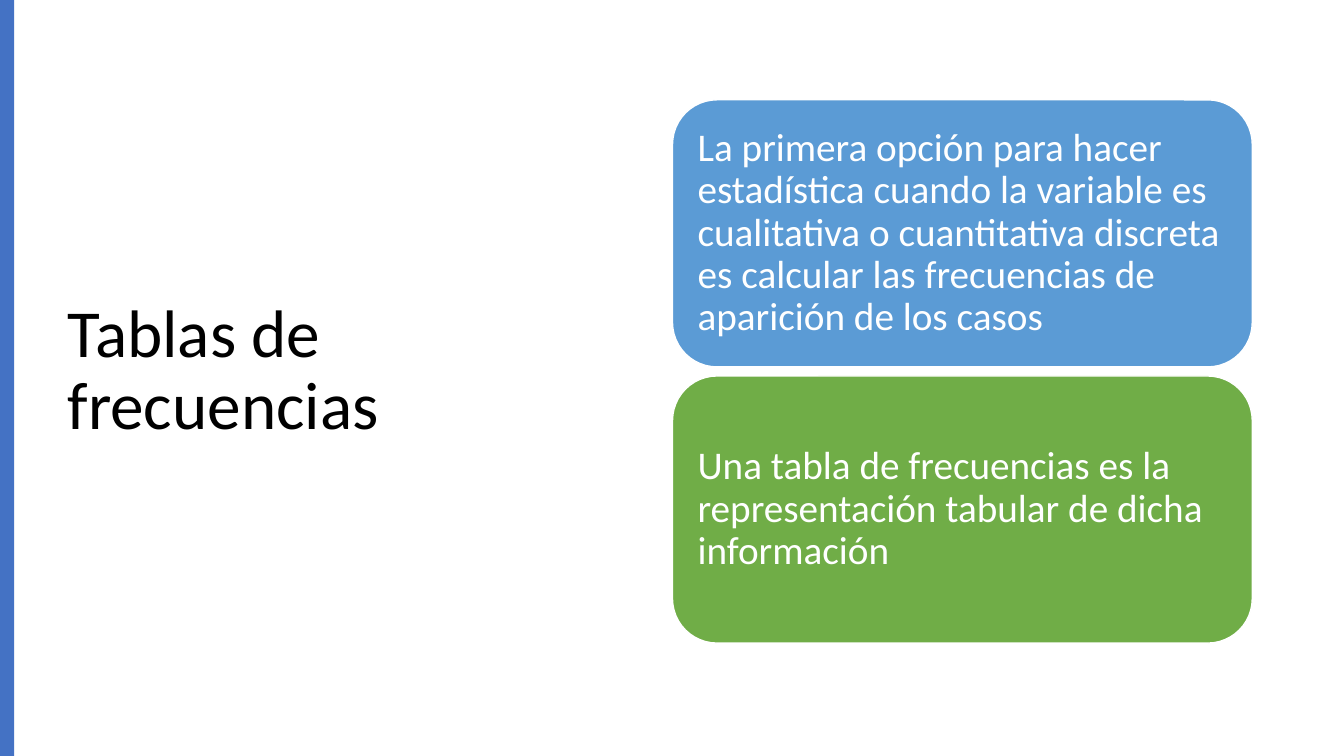
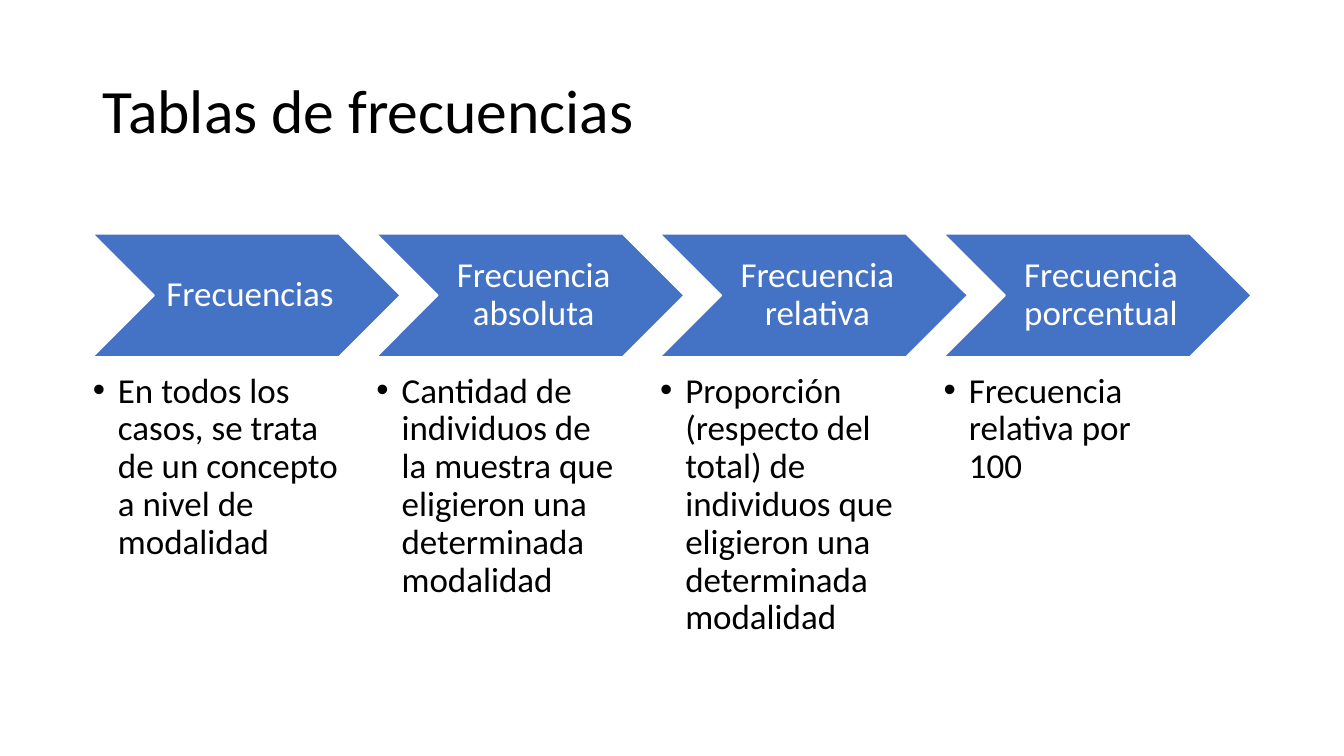
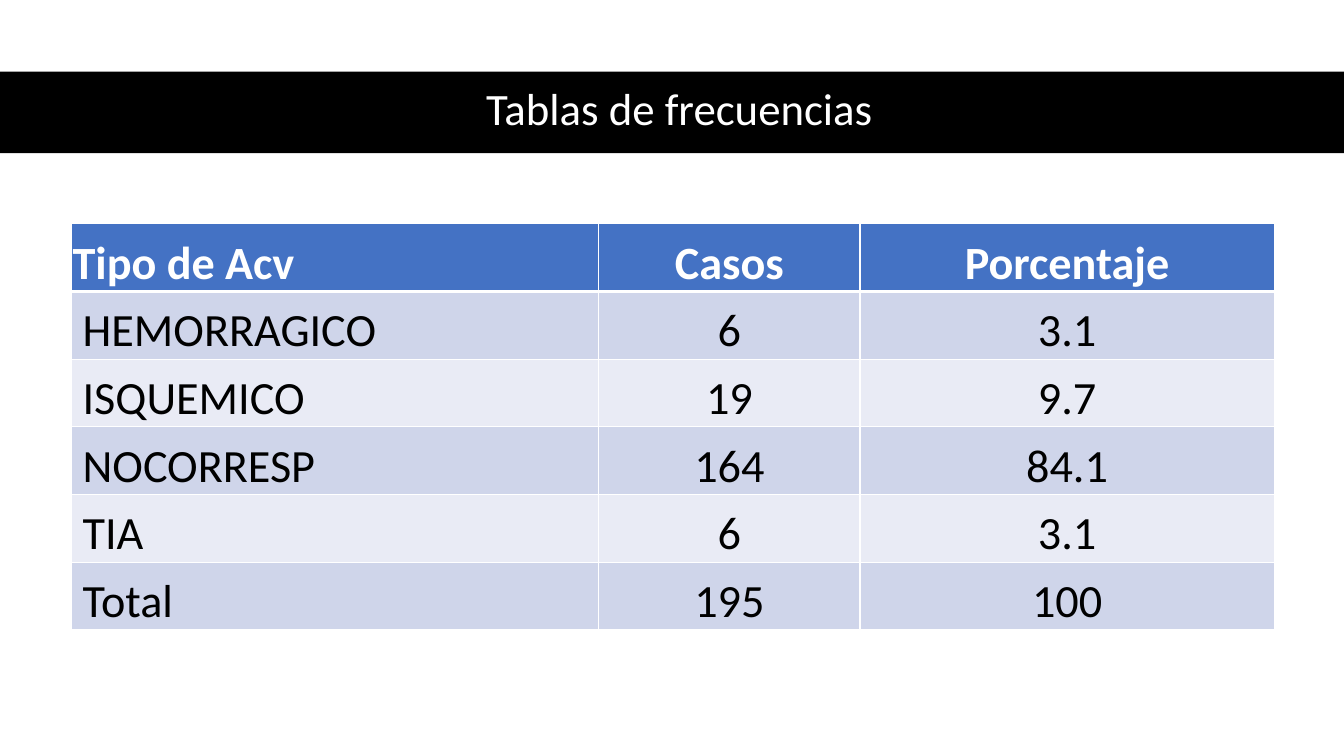
from lxml.etree import SubElement as Sub, Element
from pptx import Presentation
from pptx.dml.color import RGBColor as RGB
from pptx.enum.shapes import MSO_SHAPE as Shape
from pptx.enum.text import MSO_ANCHOR as Anchor, MSO_AUTO_SIZE as Auto, PP_ALIGN as Align
from pptx.oxml.ns import qn
from pptx.util import Inches, Pt

FONT = "Calibri"
HEAD = "Tablas de frecuencias"
WIDE, HIGH = 13.33, 7.5
HUE = {"blue": "4472C4", "sky": "5B9BD5", "green": "70AD47", "black": "000000",
       "white": "FFFFFF", "dark": "CFD5EA", "light": "E9EBF5"}
ONLY, FOUR = 5, 4  # layouts: title only, title with four bodies

CARDS = [
    ("sky", "La primera opción para hacer estadística cuando la variable es cualitativa "
            "o cuantitativa discreta es calcular las frecuencias de aparición de los casos"),
    ("green", "Una tabla de frecuencias es la representación tabular de dicha información"),
]
STEPS = [
    ("Frecuencias", "En todos los casos, se trata de un concepto a nivel de modalidad"),
    ("Frecuencia absoluta", "Cantidad de individuos de la muestra que eligieron una "
                            "determinada modalidad"),
    ("Frecuencia relativa", "Proporción (respecto del total) de individuos que eligieron "
                            "una determinada modalidad"),
    ("Frecuencia porcentual", "Frecuencia relativa por 100"),
]
ROWS = [
    ("Tipo de Acv", "Casos", "Porcentaje"),
    ("HEMORRAGICO", "6", "3.1"),
    ("ISQUEMICO", "19", "9.7"),
    ("NOCORRESP", "164", "84.1"),
    ("TIA", "6", "3.1"),
    ("Total", "195", "100"),
]


def tint(hue):
    return RGB.from_string(HUE[hue])


def place(item, box):
    item.left, item.top, item.width, item.height = map(Inches, box)


def write(frame, text, size, hue, align=Align.LEFT, bold=False, space=0.9):
    """Fill the first paragraph of a frame with one formatted run."""
    para = frame.paragraphs[0]
    para.alignment, para.line_spacing = align, space
    para.space_before = para.space_after = Pt(0)
    run = para.add_run()
    run.text = text
    font = run.font
    font.name, font.size, font.bold = FONT, Pt(size), bold
    font.color.rgb = tint(hue)
    return para


def pad(item, left, top, right, low):
    item.margin_left, item.margin_top = Inches(left), Inches(top)
    item.margin_right, item.margin_bottom = Inches(right), Inches(low)


def setup(frame, anchor):
    frame.word_wrap, frame.auto_size = True, Auto.NONE
    frame.vertical_anchor = anchor


def add_page(deck, kind, box, size, hue="black", align=Align.LEFT):
    """Add a slide with the shared title."""
    page = deck.slides.add_slide(deck.slide_layouts[kind])
    title = page.shapes.title
    place(title, box)
    setup(title.text_frame, Anchor.MIDDLE)
    write(title.text_frame, HEAD, size, hue, align)
    return page


def add_block(page, kind, box, fill, edge=False):
    block = page.shapes.add_shape(kind, *map(Inches, box))
    block.shadow.inherit = False
    block.fill.solid()
    block.fill.fore_color.rgb = tint(fill)
    if edge:
        block.line.color.rgb = tint("white")
        block.line.width = Pt(1)
    else:
        block.line.fill.background()
    setup(block.text_frame, Anchor.MIDDLE)
    return block


def add_list(body, box, text):
    """Place a body placeholder and give it one bullet."""
    place(body, box)
    frame = body.text_frame
    setup(frame, Anchor.TOP)
    pad(frame, 0, 0, 0, 0)
    props = write(frame, text, 25, "black")._p.get_or_add_pPr()
    props.set("marL", str(Inches(0.25)))
    props.set("indent", str(Inches(-0.25)))
    Sub(props, qn("a:buFont"), typeface="Arial")
    Sub(props, qn("a:buChar"), char="•")


def add_edges(cell, top, low):
    """Draw white cell borders; top and low are widths in points."""
    props = cell._tc.get_or_add_tcPr()
    for spot, (side, width) in enumerate([("L", 1), ("R", 1), ("T", top), ("B", low)]):
        line = Element(qn("a:ln" + side), w=str(Pt(width)))
        Sub(Sub(line, qn("a:solidFill")), qn("a:srgbClr"), val=HUE["white"])
        props.insert(spot, line)


def add_grid(page, box, cols, rows):
    grid = page.shapes.add_table(len(rows), len(cols), *map(Inches, box)).table
    for col, width in zip(grid.columns, cols):
        col.width = Inches(width)
    for i, row in enumerate(rows):
        top = i == 0
        fill = "blue" if top else ("dark" if i % 2 else "light")
        for j, text in enumerate(row):
            cell = grid.cell(i, j)
            cell.fill.solid()
            cell.fill.fore_color.rgb = tint(fill)
            cell.vertical_anchor = Anchor.BOTTOM
            pad(cell, 0.01 if top or j else 0.11, 0.01, 0.01, 0)
            write(cell.text_frame, text, 33, "white" if top else "black",
                  Align.CENTER if j else Align.LEFT, top, 1.0)
            add_edges(cell, 3 if i == 1 else 1, 3 if top else 1)


def add_cards(deck):
    page = add_page(deck, ONLY, (0.57, 0.68, 5.67, 6.02), 48)
    add_block(page, Shape.RECTANGLE, (0, 0, 0.14, HIGH), "blue")
    for i, (fill, text) in enumerate(CARDS):
        box = (6.67, 0.99 + 2.74 * i, 5.75, 2.65)
        frame = add_block(page, Shape.ROUNDED_RECTANGLE, box, fill, True).text_frame
        pad(frame, 0.12, 0.12, 0.12, 0.12)
        write(frame, text, 28, "white")


def add_steps(deck):
    page = add_page(deck, FOUR, (0.92, 0.4, 11.5, 1.45), 44)
    bodies = list(page.placeholders)[1:]
    for i, (body, (name, text)) in enumerate(zip(bodies, STEPS)):
        left = 0.92 + 2.8133 * i
        step = add_block(page, Shape.CHEVRON, (left, 2.32, 3.05, 1.22), "blue", True)
        pad(step.text_frame, 0.11, 0.04, 0.04, 0.04)
        write(step.text_frame, name, 25, "white", Align.CENTER)
        add_list(body, (left, 3.7, 2.44, 2.73), text)


def add_counts(deck):
    page = add_page(deck, ONLY, (0.61, 0.7, 12.26, 0.81), 32, "white", Align.CENTER)
    band = add_block(page, Shape.RECTANGLE, (0, 0.71, WIDE, 0.81), "black")
    page.shapes.title.element.addprevious(band.element)  # band behind title
    add_grid(page, (0.71, 2.22, 11.93, 4.03), (5.23, 2.59, 4.11), ROWS)


def main():
    deck = Presentation()
    deck.slide_width, deck.slide_height = Inches(WIDE), Inches(HIGH)
    add_cards(deck)
    add_steps(deck)
    add_counts(deck)
    deck.save("out.pptx")


if __name__ == "__main__":
    main()
